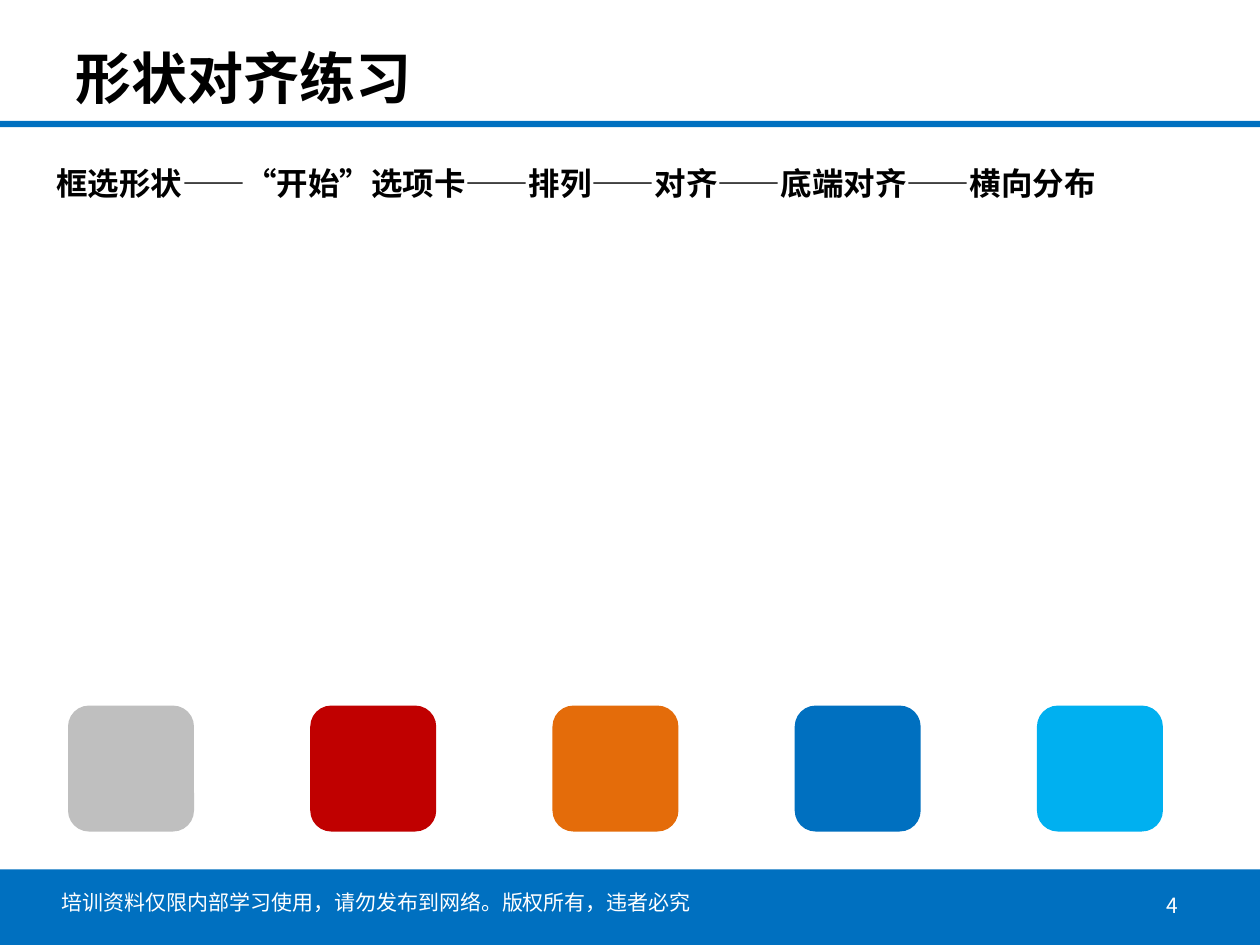
from lxml import etree
from pptx import Presentation
from pptx.dml.color import RGBColor
from pptx.enum.shapes import MSO_SHAPE
from pptx.enum.text import MSO_ANCHOR, PP_ALIGN
from pptx.oxml.ns import qn
from pptx.util import Inches, Pt

FONT = "Noto Sans CJK SC"
BLACK = RGBColor(0x00, 0x00, 0x00)
WHITE = RGBColor(0xFF, 0xFF, 0xFF)
GREY = RGBColor(0xBF, 0xBF, 0xBF)
RED = RGBColor(0xC0, 0x00, 0x00)
ORANGE = RGBColor(0xE4, 0x6C, 0x0A)
BLUE = RGBColor(0x00, 0x70, 0xC0)
SKY = RGBColor(0x00, 0xB0, 0xF0)

BARS = [(0, 6.9, 10, 0.6), (0, 0.96, 10, 0.05)]
# text, place, size, colour, bold, anchor, alignment
TEXTS = [
    ("培训资料仅限内部学习使用，请勿发布到网络。版权所有，违者必究",
     (0.39, 7.01, 7.4, 0.3), 12, WHITE, False, MSO_ANCHOR.TOP, PP_ALIGN.LEFT),
    ("形状对齐练习",
     (0.5, 0.27, 7.33, 0.69), 32, BLACK, True, MSO_ANCHOR.MIDDLE, PP_ALIGN.LEFT),
    ("框选形状——“开始”选项卡——排列——对齐——底端对齐——横向分布",
     (0.35, 1.25, 9.33, 0.47), 18, BLACK, True, MSO_ANCHOR.TOP, PP_ALIGN.LEFT),
    ("4",
     (9.07, 6.98, 0.47, 0.4), 12, WHITE, False, MSO_ANCHOR.MIDDLE, PP_ALIGN.CENTER),
]
TILE_COLORS = [GREY, RED, ORANGE, BLUE, SKY]
TILE_FIRST, TILE_LAST, TILE_TOP, TILE_SIZE = 0.54, 8.23, 5.6, 1


def add_block(page, kind, place, color):
    block = page.shapes.add_shape(kind, *map(Inches, place))
    block.shadow.inherit = False
    block.fill.solid()
    block.fill.fore_color.rgb = color
    block.line.fill.background()


def add_text(page, text, place, size, color, bold, anchor, align):
    box = page.shapes.add_textbox(*map(Inches, place))
    frame = box.text_frame
    frame.word_wrap = True
    frame.vertical_anchor = anchor
    frame.text = text
    para = frame.paragraphs[0]
    para.alignment = align
    span = para.runs[0]
    span.font.size = Pt(size)
    span.font.bold = bold
    span.font.color.rgb = color
    span.font.name = FONT
    # East Asian characters take their font from a separate element
    etree.SubElement(span._r.get_or_add_rPr(), qn("a:ea"), typeface=FONT)


def main():
    deck = Presentation()
    deck.slide_width, deck.slide_height = Inches(10), Inches(7.5)
    page = deck.slides.add_slide(deck.slide_layouts[6])

    for place in BARS:
        add_block(page, MSO_SHAPE.RECTANGLE, place, BLUE)
    for entry in TEXTS:
        add_text(page, *entry)

    step = (TILE_LAST - TILE_FIRST) / (len(TILE_COLORS) - 1)
    for index, color in enumerate(TILE_COLORS):
        place = (TILE_FIRST + index * step, TILE_TOP, TILE_SIZE, TILE_SIZE)
        add_block(page, MSO_SHAPE.ROUNDED_RECTANGLE, place, color)

    deck.save("out.pptx")


if __name__ == "__main__":
    main()
